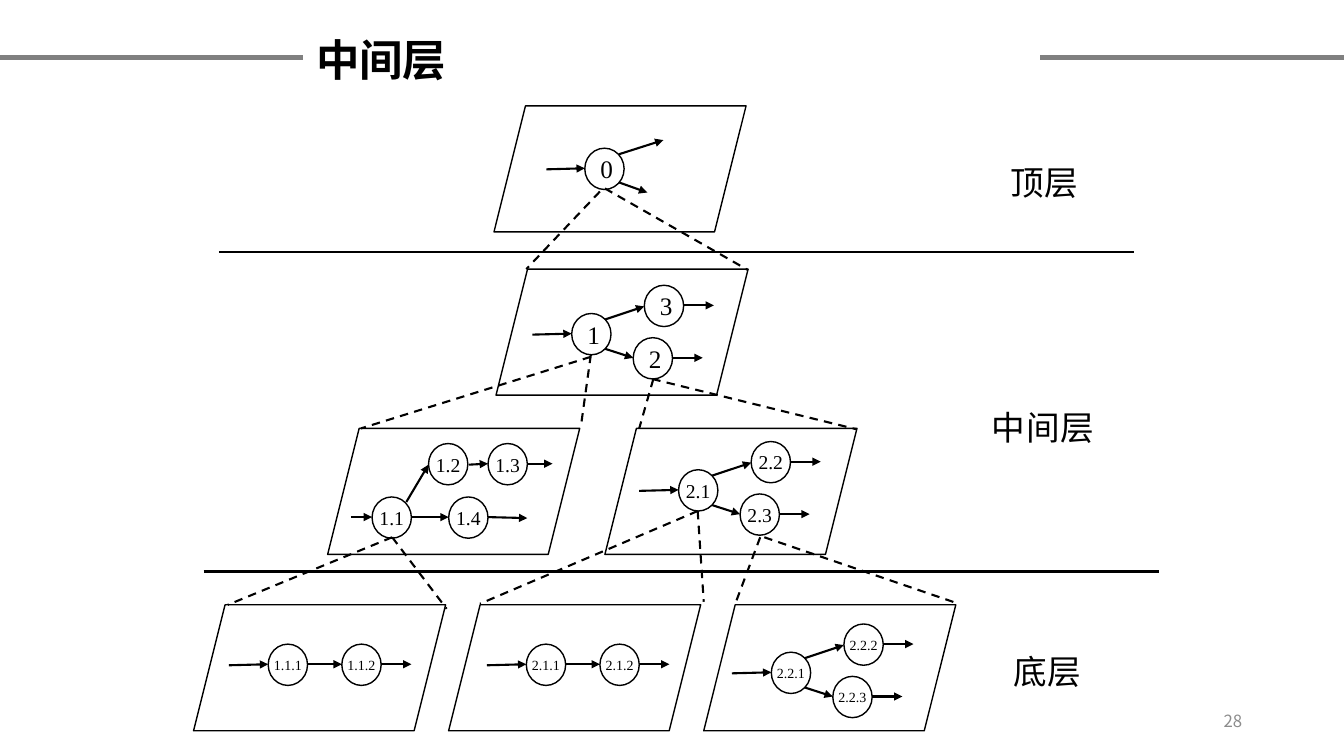
from dataclasses import dataclass

from lxml import etree
from pptx import Presentation
from pptx import util as u
from pptx.dml import color, line
from pptx.enum import dml, shapes, text
from pptx.oxml import ns
from pptx.shapes import autoshape, connector, shapetree

PX = 9144
PANE_WIDTH, PANE_HEIGHT = 250, 125
CIRCLE_WIDTH, CIRCLE_HEIGHT = 39, 41
SERIF, LATIN, HAN = "Times New Roman", "Arial", "Noto Sans CJK SC"
COLORS = {"ink": "000000", "paper": "FFFFFF", "number": "8C8C8C", "rule": "808080"}

Ends = tuple[int, int, int, int]


@dataclass
class Process:
    name: str
    x: int
    y: int


@dataclass
class Pane:
    x: int
    y: int
    size: int
    processes: list[Process]
    flows: list[Ends]


@dataclass
class TextBox:
    wording: str
    box: Ends
    size: int
    font: str
    color: str = "ink"
    align: text.PP_ALIGN | None = None
    anchor: text.MSO_ANCHOR = text.MSO_ANCHOR.MIDDLE
    line_spacing: float = 1.0
    space_after: int = 0
    bold: bool = False
    wrap: bool = True
    tracking: int = 0


@dataclass
class Layer:
    panes: list[Pane]
    expansions: list[Ends]
    dividers: list[Ends]
    label: TextBox


def layer_label(wording: str, x: int, y: int, width: int) -> TextBox:
    return TextBox(wording, (x, y, width, 71), 24, LATIN, anchor=text.MSO_ANCHOR.TOP,
                   line_spacing=1.5, wrap=False, tracking=50)


def branching_pane(x: int, y: int, size: int, names: list[str], left: int, top: int) -> Pane:
    upper = Process(names[1], left + 72, top - 28)
    lower = Process(names[2], left + 61, top + 24)
    flows = [(left - 39, top + 21, left, top + 20),
             (left + 33, top + 6, upper.x, upper.y + 21),
             (left + 33, top + 35, lower.x, lower.y + 20)]
    for process in (upper, lower):
        right, middle = process.x + CIRCLE_WIDTH, process.y + 20
        flows.append((right, middle, right + 30, middle))
    return Pane(x, y, size, [Process(names[0], left, top), upper, lower], flows)


def chain_pane(x: int, y: int, size: int, names: list[str], left: int, top: int) -> Pane:
    middle, second = top + 20, left + 73
    flows = [(left - 39, middle + 1, left, middle),
             (left + CIRCLE_WIDTH, middle, second, middle),
             (second + CIRCLE_WIDTH, middle, second + 69, middle)]
    return Pane(x, y, size, [Process(names[0], left, top), Process(names[1], second, top)], flows)


MIDDLE = Layer(
    [branching_pane(492, 267, 18, ["1", "3", "2"], 567, 311),
     branching_pane(600, 425, 14, ["2.1", "2.2", "2.3"], 673, 466),
     Pane(325, 425, 14,
          [Process("1.1", 369, 493), Process("1.2", 425, 440),
           Process("1.4", 445, 493), Process("1.3", 484, 440)],
          [(348, 513, 369, 513), (403, 498, 425, 461), (408, 513, 445, 513),
           (465, 461, 484, 460), (484, 513, 523, 514), (523, 460, 548, 460)])],
    [(586, 354, 358, 425), (586, 352, 576, 424), (648, 376, 634, 425), (647, 376, 850, 426)],
    [],
    layer_label("中间层", 974, 379, 123))

TOP = Layer(
    [Pane(490, 105, 18, [Process("0", 580, 147)],
          [(542, 168, 580, 167), (614, 153, 658, 139), (614, 181, 642, 191)])],
    [(595, 190, 522, 267), (600, 187, 742, 268)],
    [(217, 250, 1125, 250)],
    layer_label("顶层", 992, 136, 89))

BOTTOM = Layer(
    [chain_pane(192, 600, 10, ["1.1.1", "1.1.2"], 266, 639),
     branching_pane(698, 600, 10, ["2.2.1", "2.2.2", "2.2.3"], 765, 647),
     chain_pane(445, 600, 10, ["2.1.1", "2.1.2"], 522, 639)],
    [(389, 533, 226, 600), (389, 533, 443, 604), (692, 507, 476, 599),
     (692, 507, 698, 597), (754, 533, 730, 597), (758, 533, 948, 598)],
    [(202, 567, 1150, 567)],
    layer_label("底层", 995, 621, 89))

NUMBER = TextBox("28", (942, 695, 300, 40), 12, HAN, "number", text.PP_ALIGN.RIGHT)
TITLE = TextBox("中间层", (-160, 1, 1076, 122), 31, HAN, align=text.PP_ALIGN.CENTER,
                line_spacing=0.9, space_after=12, bold=True)
HEADER_RULES = [(0, 57, 301, 57), (1032, 57, 1333, 57)]


def rgb(name: str) -> color.RGBColor:
    return color.RGBColor.from_string(COLORS[name])


def style_line(outline: line.LineFormat, name: str, width: float) -> None:
    outline.color.rgb = rgb(name)
    outline.width = u.Pt(width)


def draw_line(tree: shapetree.GroupShapes, ends: Ends, name: str = "ink",
              width: float = 1.5) -> connector.Connector:
    stroke = tree.add_connector(shapes.MSO_CONNECTOR.STRAIGHT, *(end * PX for end in ends))
    style_line(stroke.line, name, width)
    etree.SubElement(stroke._element.spPr, ns.qn("a:effectLst"))
    return stroke


def draw_flow(tree: shapetree.GroupShapes, ends: Ends) -> None:
    arrow = draw_line(tree, ends)
    outline = arrow.line._get_or_add_ln()
    etree.SubElement(outline, ns.qn("a:tailEnd"), type="triangle")


def draw_shape(tree: shapetree.GroupShapes, kind: shapes.MSO_SHAPE, box: Ends) -> autoshape.Shape:
    shape = tree.add_shape(kind, *(length * PX for length in box))
    shape.shadow.inherit = False
    shape.fill.solid()
    shape.fill.fore_color.rgb = rgb("paper")
    style_line(shape.line, "ink", 1)
    return shape


def draw_process(tree: shapetree.GroupShapes, process: Process, size: int) -> None:
    box = (process.x, process.y, CIRCLE_WIDTH, CIRCLE_HEIGHT)
    circle = draw_shape(tree, shapes.MSO_SHAPE.FLOWCHART_CONNECTOR, box)
    frame = circle.text_frame
    frame.vertical_anchor = text.MSO_ANCHOR.MIDDLE
    if size < 18:
        frame.margin_left = frame.margin_right = frame.margin_top = frame.margin_bottom = 0
        frame.word_wrap = False
    paragraph = frame.paragraphs[0]
    paragraph.alignment = text.PP_ALIGN.CENTER
    run = paragraph.add_run()
    run.text = process.name
    run.font.name, run.font.size = SERIF, u.Pt(size)
    run.font.color.rgb = rgb("ink")


def draw_text(tree: shapetree.GroupShapes, item: TextBox) -> None:
    frame = tree.add_textbox(*(length * PX for length in item.box)).text_frame
    frame.word_wrap = item.wrap
    if not item.wrap:
        frame.auto_size = text.MSO_AUTO_SIZE.SHAPE_TO_FIT_TEXT
    frame.vertical_anchor = item.anchor
    paragraph = frame.paragraphs[0]
    paragraph.alignment = item.align
    paragraph.line_spacing = item.line_spacing
    paragraph.space_after = u.Pt(item.space_after)
    run = paragraph.add_run()
    run.text = item.wording
    run.font.name, run.font.size, run.font.bold = item.font, u.Pt(item.size), item.bold
    run.font.color.rgb = rgb(item.color)
    properties = run._r.get_or_add_rPr()
    properties.set("spc", str(item.tracking))
    etree.SubElement(properties, ns.qn("a:ea"), typeface=HAN)


def draw_layer(tree: shapetree.GroupShapes, layer: Layer) -> None:
    for pane in layer.panes:
        draw_shape(tree, shapes.MSO_SHAPE.PARALLELOGRAM, (pane.x, pane.y, PANE_WIDTH, PANE_HEIGHT))
        for process in pane.processes:
            draw_process(tree, process, pane.size)
        for flow in pane.flows:
            draw_flow(tree, flow)
    for expansion in layer.expansions:
        draw_line(tree, expansion).line.dash_style = dml.MSO_LINE.DASH
    for divider in layer.dividers:
        draw_line(tree, divider)
    draw_text(tree, layer.label)


def main() -> None:
    presentation = Presentation()
    presentation.slide_width, presentation.slide_height = 1333 * PX, 750 * PX
    slide = presentation.slides.add_slide(presentation.slide_layouts[6])
    for layer in (MIDDLE, TOP, BOTTOM):
        draw_layer(slide.shapes.add_group_shape().shapes, layer)
    for item in (NUMBER, TITLE):
        draw_text(slide.shapes, item)
    for rule in HEADER_RULES:
        draw_line(slide.shapes, rule, "rule", 3)
    presentation.save("out.pptx")


if __name__ == "__main__":
    main()
